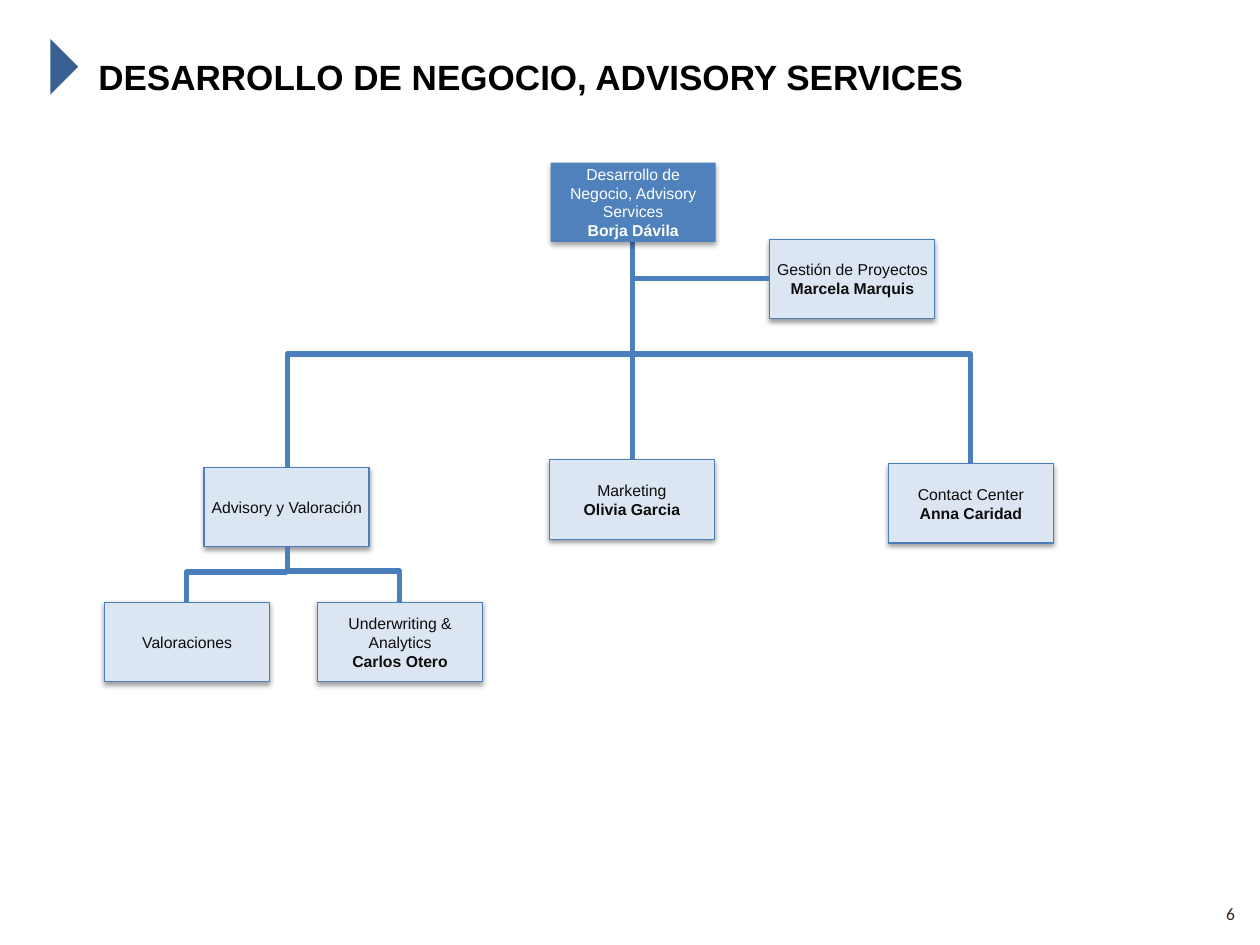
import pptx
import pptx.dml.color
import pptx.enum.shapes
import pptx.enum.text
import pptx.oxml
import pptx.oxml.ns
import pptx.util
from dataclasses import dataclass

Inches = pptx.util.Inches
Pt = pptx.util.Pt
Shape = pptx.enum.shapes.MSO_SHAPE
Connector = pptx.enum.shapes.MSO_CONNECTOR
Align = pptx.enum.text.PP_ALIGN
qn = pptx.oxml.ns.qn


@dataclass(frozen=True)
class Theme:
    marker: str = "376091"
    head_fill: str = "4F81BD"
    unit_fill: str = "DCE6F2"
    line: str = "4B7EBC"
    black: str = "000000"
    white: str = "FFFFFF"
    unit_text: str = "0D0D0D"
    number_text: str = "35261A"
    font: str = "Arial"
    number_font: str = "Calibri"
    title_size: int = 20
    unit_size: int = 9
    number_size: int = 10
    line_width: int = 3


THEME = Theme()
BOX_WIDTH, BOX_HEIGHT = 1.31, 0.63

# Units of the chart: left, top, department, person in charge
HEAD = (4.37, 1.29, "Desarrollo de Negocio, Advisory Services", "Borja Dávila")
UNITS = [
    (6.11, 1.9, "Gestión de Proyectos", "Marcela Marquis"),
    (1.62, 3.71, "Advisory y Valoración", None),
    (4.36, 3.65, "Marketing", "Olivia Garcia"),
    (7.05, 3.68, "Contact Center", "Anna Caridad"),
    (0.83, 4.78, "Valoraciones", None),
    (2.52, 4.78, "Underwriting & Analytics", "Carlos Otero"),
]


def color(value):
    return pptx.dml.color.RGBColor.from_string(value)


def add_span(para, text, size, ink, font=THEME.font, bold=False):
    span = para.add_run()
    span.text = text
    span.font.name = font
    span.font.size = Pt(size)
    span.font.bold = bold
    span.font.color.rgb = color(ink)


def add_shadow(shape, opacity, distance):
    shape.shadow.inherit = False
    effects = shape._element.spPr.find(qn("a:effectLst"))
    effects.append(pptx.oxml.parse_xml(
        f'<a:outerShdw {pptx.oxml.ns.nsdecls("a")} blurRad="{Pt(3.1)}" '
        f'dist="{Pt(distance)}" dir="5400000" rotWithShape="0">'
        f'<a:srgbClr val="{THEME.black}"><a:alpha val="{opacity * 1000}"/>'
        '</a:srgbClr></a:outerShdw>'))


def add_unit(page, left, top, department, person, head=False):
    box = page.shapes.add_shape(Shape.RECTANGLE, Inches(left), Inches(top),
                                Inches(BOX_WIDTH), Inches(BOX_HEIGHT))
    box.fill.solid()
    box.fill.fore_color.rgb = color(THEME.head_fill if head else THEME.unit_fill)
    if head:
        box.line.fill.background()
        add_shadow(box, 35, 1.8)
    else:
        box.line.color.rgb = color(THEME.line)
        box.line.width = Pt(0.75)
        add_shadow(box, 38, 1.6)
    frame = box.text_frame
    frame.word_wrap = True
    frame.vertical_anchor = pptx.enum.text.MSO_ANCHOR.MIDDLE
    frame.margin_left = frame.margin_right = Inches(0.04 if head else 0)
    ink = THEME.white if head else THEME.unit_text
    para = frame.paragraphs[0]
    para.alignment = Align.CENTER
    add_span(para, department, THEME.unit_size, ink)
    if person:
        para = frame.add_paragraph()
        para.alignment = Align.CENTER
        add_span(para, person, THEME.unit_size, ink, bold=True)


def add_line(page, start, end, kind=Connector.STRAIGHT):
    line = page.shapes.add_connector(kind, *map(Inches, start + end))
    line.line.color.rgb = color(THEME.line)
    line.line.width = Pt(THEME.line_width)
    properties = line._element.spPr
    properties.append(properties.makeelement(qn("a:effectLst"), {}))
    return line


def add_corner(page, start, end):
    """Across, then down."""
    line = add_line(page, start, end, Connector.ELBOW)
    line._element.spPr.find(qn("a:prstGeom")).set("prst", "bentConnector2")


def add_step(page, start, end, bend=0.5):
    """Down, across to the right, then down; bend is the share before the turn."""
    line = add_line(page, start, end, Connector.ELBOW)
    across, down = end[0] - start[0], end[1] - start[1]
    line.left = Inches((start[0] + end[0] - down) / 2)
    line.top = Inches((start[1] + end[1] - across) / 2)
    line.width, line.height = Inches(down), Inches(across)
    properties = line._element.spPr
    frame = properties.find(qn("a:xfrm"))
    frame.set("rot", str(270 * 60000))
    frame.set("flipH", "1")
    guides = properties.find(qn("a:prstGeom")).get_or_add_avLst()
    guides.append(guides.makeelement(
        qn("a:gd"), {"name": "adj1", "fmla": f"val {round(bend * 100000)}"}))


def add_title(page, text):
    title = page.shapes.title
    title.left, title.top = Inches(0.68), Inches(0.37)
    title.width, title.height = Inches(8.95), Inches(0.44)
    frame = title.text_frame
    frame.word_wrap = True
    frame.vertical_anchor = pptx.enum.text.MSO_ANCHOR.MIDDLE
    para = frame.paragraphs[0]
    para.alignment = Align.LEFT
    para.line_spacing = 1.1
    add_span(para, text, THEME.title_size, THEME.black, bold=True)


def add_marker(page):
    marker = page.shapes.add_shape(Shape.ISOSCELES_TRIANGLE, Inches(0.29),
                                   Inches(0.42), Inches(0.44), Inches(0.22))
    marker.rotation = 90
    marker.shadow.inherit = False
    marker.fill.solid()
    marker.fill.fore_color.rgb = color(THEME.marker)
    marker.line.fill.background()


def add_page_number(page, number):
    box = page.shapes.add_textbox(Inches(7.57), Inches(7.05),
                                  Inches(2.33), Inches(0.4))
    frame = box.text_frame
    frame.word_wrap = True
    frame.vertical_anchor = pptx.enum.text.MSO_ANCHOR.MIDDLE
    para = frame.paragraphs[0]
    para.alignment = Align.RIGHT
    add_span(para, number, THEME.number_size, THEME.number_text,
             THEME.number_font)


def main():
    deck = pptx.Presentation()
    deck.slide_width, deck.slide_height = Inches(10), Inches(7.5)
    page = deck.slides.add_slide(deck.slide_layouts[5])

    # Heading
    add_marker(page)
    add_title(page, "DESARROLLO DE NEGOCIO, ADVISORY SERVICES")

    # Trunk lines, behind the boxes
    add_step(page, (5.02, 1.91), (7.7, 3.71))
    add_line(page, (5.02, 2.78), (5.02, 3.8))

    # Boxes
    add_unit(page, *HEAD, head=True)
    for unit in UNITS:
        add_unit(page, *unit)

    # Branch lines
    add_corner(page, (5.02, 2.81), (2.28, 3.71))
    add_step(page, (2.28, 4.33), (3.17, 4.78), bend=0.45)
    add_corner(page, (2.28, 4.54), (1.48, 4.78))
    add_line(page, (5.02, 2.21), (6.11, 2.21))

    # Footer
    add_page_number(page, "6")
    deck.save("out.pptx")


if __name__ == "__main__":
    main()
